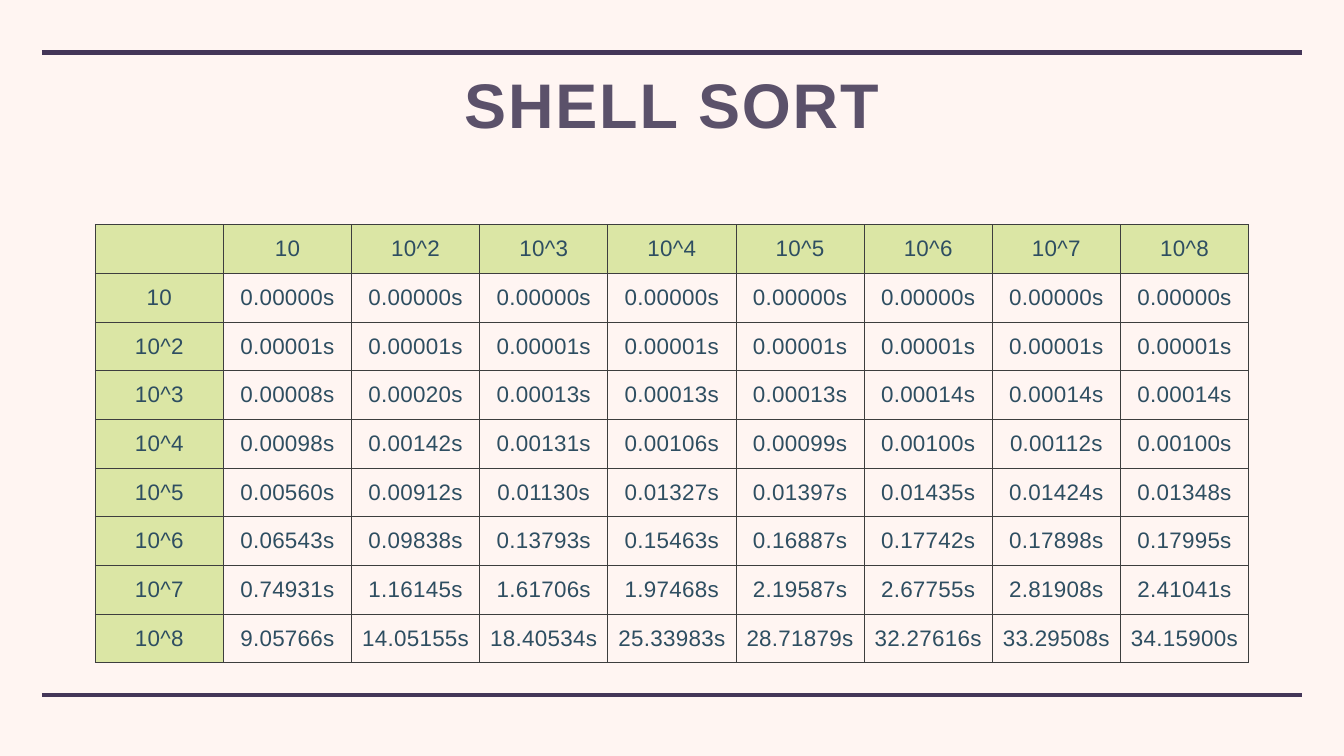
from lxml.etree import SubElement
from pptx import Presentation
from pptx.dml.color import RGBColor
from pptx.enum.shapes import MSO_CONNECTOR as Connector
from pptx.enum.text import MSO_ANCHOR as Anchor, PP_ALIGN as Align
from pptx.oxml.ns import qn
from pptx.util import Pt

PAGE_WIDTH, PAGE_HEIGHT = 1920.24, 1080
CREAM, PURPLE, MAUVE = "FFF5F2", "443658", "5B516A"
LIME, SLATE, GRAY = "DBE6A5", "2E4E61", "3D3E3E"
INSET = 4.32

SIZES = ["10"] + [f"10^{power}" for power in range(2, 9)]
SECONDS = [
    ["0.00000"] * 8,
    ["0.00001"] * 8,
    "0.00008 0.00020 0.00013 0.00013 0.00013 0.00014 0.00014 0.00014".split(),
    "0.00098 0.00142 0.00131 0.00106 0.00099 0.00100 0.00112 0.00100".split(),
    "0.00560 0.00912 0.01130 0.01327 0.01397 0.01435 0.01424 0.01348".split(),
    "0.06543 0.09838 0.13793 0.15463 0.16887 0.17742 0.17898 0.17995".split(),
    "0.74931 1.16145 1.61706 1.97468 2.19587 2.67755 2.81908 2.41041".split(),
    "9.05766 14.05155 18.40534 25.33983 28.71879 32.27616 33.29508 34.15900".split(),
]

TITLE_FONT = {"name": "Arial", "size": Pt(90), "bold": True}
CELL_FONT = {"name": "Arial", "size": Pt(32), "bold": False}
MARGINS = {f"margin_{side}": Pt(INSET) for side in ("left", "top", "right", "bottom")}


def color(value):
    return RGBColor.from_string(value)


def set_all(target, values):
    for name, value in values.items():
        setattr(target, name, value)


def write(para, text, font, ink, tracking):
    """Add one centred span; tracking is in hundredths of a point."""
    para.alignment = Align.CENTER
    span = para.add_run()
    span.text = text
    set_all(span.font, font)
    span.font.color.rgb = color(ink)
    span._r.get_or_add_rPr().set("spc", str(tracking))


def add_rule(page, left, top, width):
    rule = page.shapes.add_connector(
        Connector.STRAIGHT, Pt(left), Pt(top), Pt(left + width), Pt(top))
    rule.line.color.rgb = color(PURPLE)
    rule.line.width = Pt(6)
    SubElement(rule._element.spPr, qn("a:effectLst"))


def add_title(page, left, top, width, height, text):
    box = page.shapes.add_textbox(Pt(left), Pt(top), Pt(width), Pt(height))
    frame = box.text_frame
    set_all(frame, {"word_wrap": True, "vertical_anchor": Anchor.TOP, **MARGINS})
    para = frame.paragraphs[0]
    para.line_spacing = 0.9
    write(para, text, TITLE_FONT, MAUVE, 270)


def add_borders(cell):
    properties = cell._tc.get_or_add_tcPr()
    for side in "LRTB":
        line = SubElement(properties, qn(f"a:ln{side}"), w=str(Pt(1)))
        fill = SubElement(line, qn("a:solidFill"))
        SubElement(fill, qn("a:srgbClr"), val=GRAY)


def add_timings(page, left, top, width, height):
    """Table of running times, with input sizes as row and column headings."""
    rows = [[""] + SIZES]
    for size, times in zip(SIZES, SECONDS):
        rows.append([size] + [f"{time}s" for time in times])
    count = len(rows)
    table = page.shapes.add_table(
        count, count, Pt(left), Pt(top), Pt(width), Pt(height)).table
    set_all(table, {"first_row": False, "horz_banding": False})
    for column in table.columns:
        column.width = Pt(width / count)
    for row in table.rows:
        row.height = Pt(height / count)

    for row_index, texts in enumerate(rows):
        for column_index, text in enumerate(texts):
            cell = table.cell(row_index, column_index)
            set_all(cell, {"vertical_anchor": Anchor.MIDDLE, **MARGINS})
            add_borders(cell)
            if row_index == 0 or column_index == 0:
                cell.fill.solid()
                cell.fill.fore_color.rgb = color(LIME)
            else:
                cell.fill.background()
            if text:
                write(cell.text_frame.paragraphs[0], text, CELL_FONT, SLATE, 40)


def main():
    deck = Presentation()
    deck.slide_width, deck.slide_height = Pt(PAGE_WIDTH), Pt(PAGE_HEIGHT)
    page = deck.slides.add_slide(deck.slide_layouts[6])
    page.background.fill.solid()
    page.background.fill.fore_color.rgb = color(CREAM)

    for top in (75, 992.5):
        add_rule(page, 60, top, PAGE_WIDTH - 120)
    add_title(page, 164, 101, 1591, 130, "SHELL SORT")
    add_timings(page, 136, 321, 1648, 625.7)
    deck.save("out.pptx")


if __name__ == "__main__":
    main()
